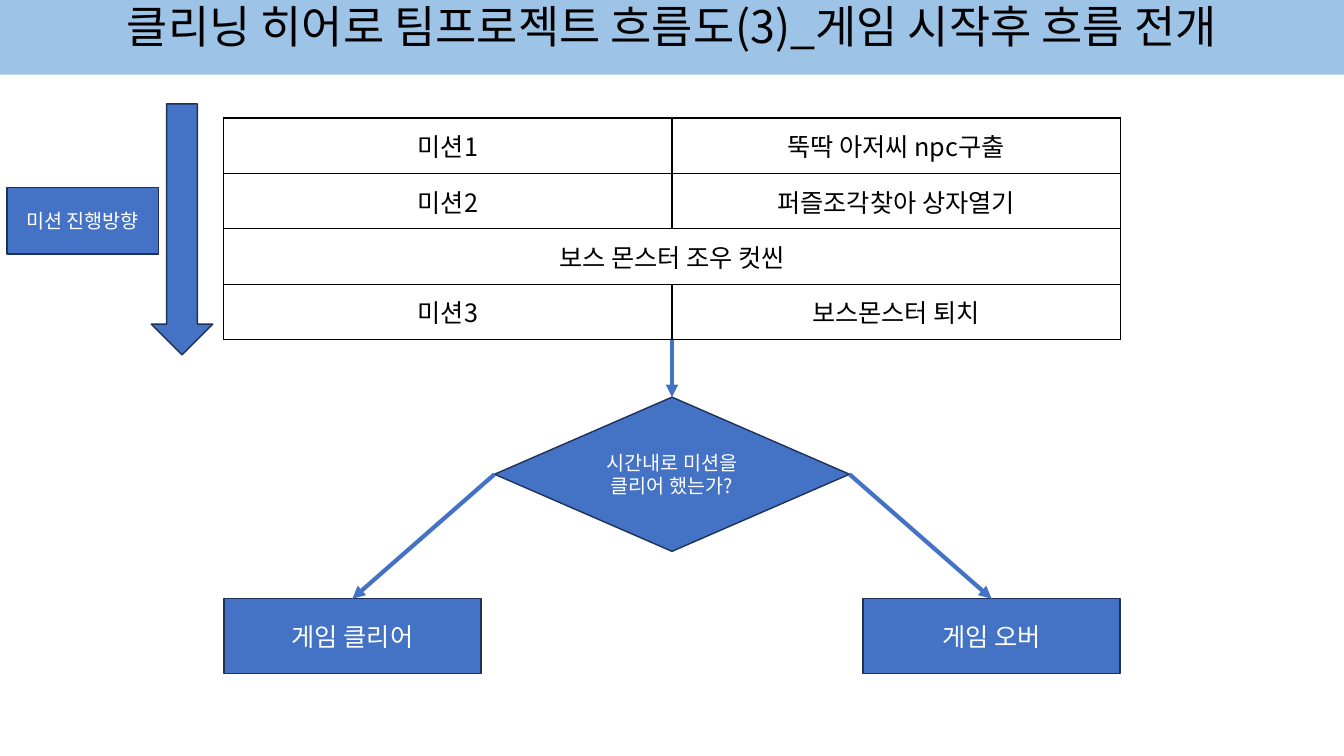
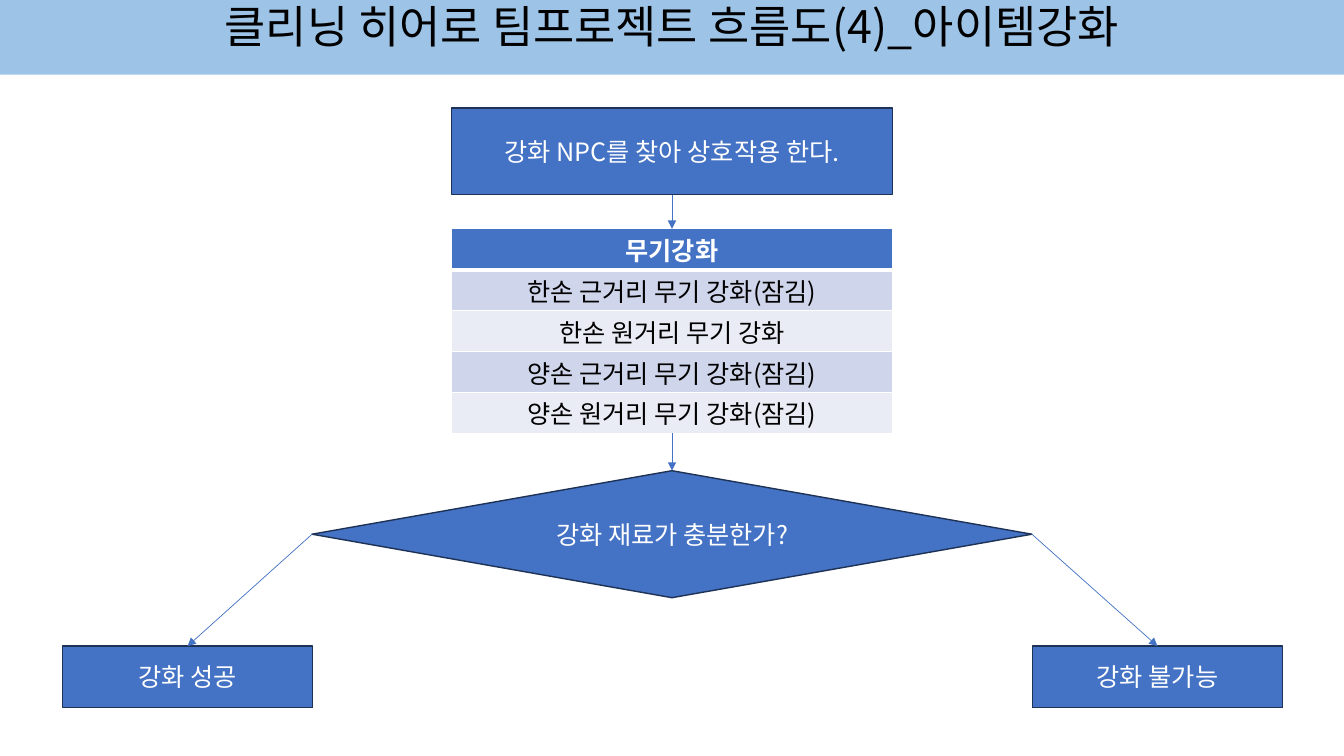
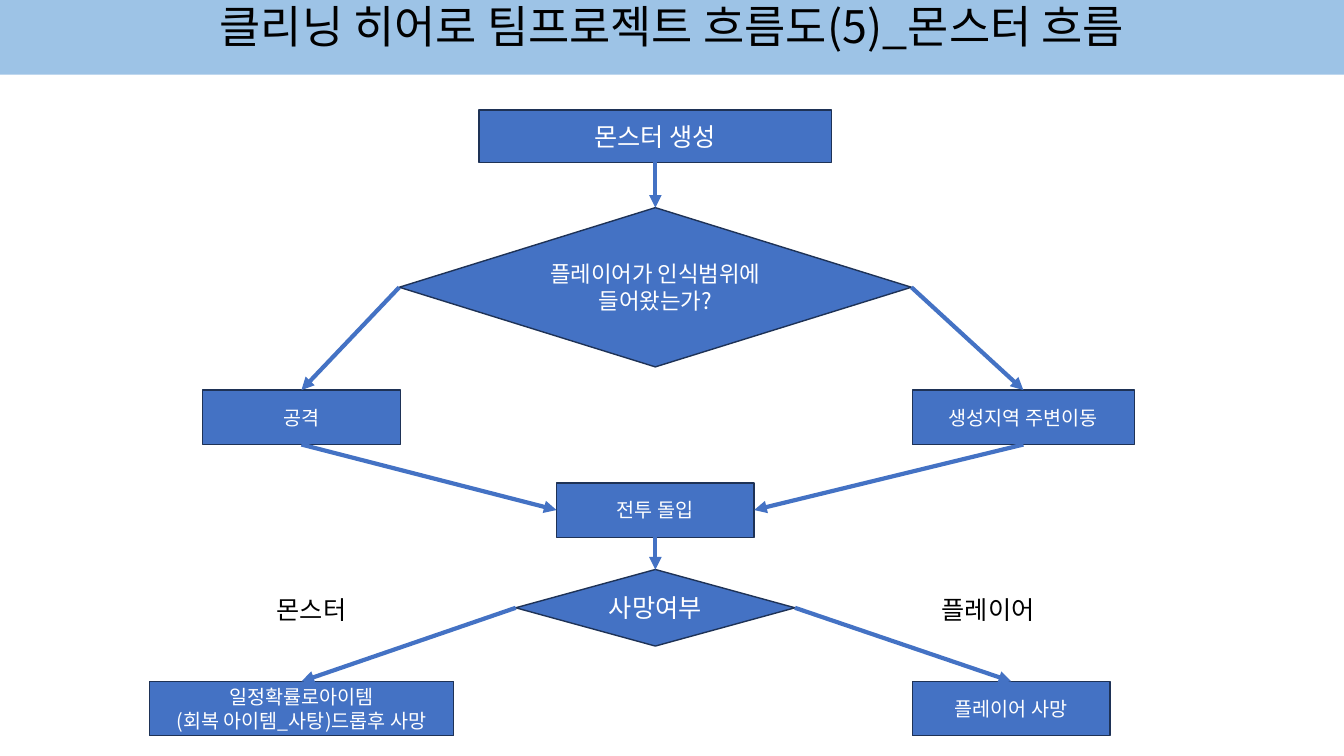
import pptx
import pptx.util
import pptx.dml.color
import pptx.enum.shapes
import pptx.enum.text
import pptx.oxml
import pptx.oxml.ns

Inches, Pt = pptx.util.Inches, pptx.util.Pt
SHAPE = pptx.enum.shapes.MSO_SHAPE
ANCHOR = pptx.enum.text.MSO_ANCHOR
CENTER = pptx.enum.text.PP_ALIGN.CENTER

# Shared style
WIDTH, HEIGHT = 13.33, 7.5
FONT = "Noto Sans CJK KR"
BAND, BLUE, OUTLINE = "9DC3E6", "4472C4", "1E3256"
BLACK, WHITE = "000000", "FFFFFF"
ROW_FILLS = ["CFD5EA", "E9EBF5"]
TOP, LEFT, BOTTOM, RIGHT = range(4)  # connection sites


def color(value):
    return pptx.dml.color.RGBColor.from_string(value)


def add_xml(parent, xml):
    ns = pptx.oxml.ns.nsdecls("a")
    parent.append(pptx.oxml.parse_xml(xml.replace(" ", f" {ns} ", 1)))


def write(tf, text, size, fill, bold=False):
    tf.text = text
    for p in tf.paragraphs:
        p.alignment = CENTER
        for r in p.runs:
            r.font.name, r.font.size, r.font.bold = FONT, Pt(size), bold
            r.font.color.rgb = color(fill)
            add_xml(r.font._element, f'<a:ea typeface="{FONT}"/>')


def node(s, kind, box, text="", size=18, fill=BLUE, outline=OUTLINE):
    sp = s.shapes.add_shape(kind, *map(Inches, box))
    sp.shadow.inherit = False
    sp.fill.solid()
    sp.fill.fore_color.rgb = color(fill)
    if outline:
        sp.line.color.rgb = color(outline)
        sp.line.width = Pt(1)
    else:
        sp.line.fill.background()
    tf = sp.text_frame
    tf.word_wrap = True
    tf.vertical_anchor = ANCHOR.MIDDLE
    if text:
        write(tf, text, size, WHITE)
    return sp


def process(s, box, text, size=18):
    return node(s, SHAPE.FLOWCHART_PROCESS, box, text, size)


def label(s, box, text):
    sp = s.shapes.add_textbox(*map(Inches, box))
    sp.text_frame.word_wrap = True
    write(sp.text_frame, text, 18, BLACK)


def site_point(sp, site):
    dx, dy = {TOP: (1, 0), LEFT: (0, 1), BOTTOM: (1, 2), RIGHT: (2, 1)}[site]
    return sp.left + sp.width * dx // 2, sp.top + sp.height * dy // 2


def arrow(s, start, start_site, end, end_site, width=3):
    c = s.shapes.add_connector(pptx.enum.shapes.MSO_CONNECTOR.STRAIGHT,
                               *site_point(start, start_site), *site_point(end, end_site))
    if not start.has_table:
        c.begin_connect(start, start_site)
    if not end.has_table:
        c.end_connect(end, end_site)
    c.line.color.rgb = color(BLUE)
    c.line.width = Pt(width)
    add_xml(c.line._get_or_add_ln(), '<a:tailEnd type="triangle"/>')
    add_xml(c._element.spPr, "<a:effectLst />")


def title_slide(prs, text):
    s = prs.slides.add_slide(prs.slide_layouts[6])
    sp = node(s, SHAPE.RECTANGLE, (0, 0, WIDTH, 0.74), fill=BAND, outline=None)
    tf = sp.text_frame
    tf.vertical_anchor = ANCHOR.TOP
    write(tf, text, 32, BLACK)
    tf.paragraphs[0].line_spacing = 0.9
    return s


def table(s, box, rows):
    """Add a plain table; a row with fewer cells than the first is merged."""
    cols = len(rows[0])
    frame = s.shapes.add_table(len(rows), cols, *map(Inches, box))
    t = frame.table
    t.first_row = t.horz_banding = False
    for i, texts in enumerate(rows):
        if len(texts) < cols:
            t.cell(i, 0).merge(t.cell(i, cols - 1))
        for j, text in enumerate(texts):
            write(t.cell(i, j).text_frame, text, 18, BLACK)
    return frame


def style_cell(cell, fill, border, top=1, bottom=1):
    cell.vertical_anchor = ANCHOR.MIDDLE
    # Slim margins keep each row at its set height
    cell.margin_top = cell.margin_bottom = Inches(0.01)
    for side, width in zip("LRTB", (1, 1, top, bottom)):
        add_xml(cell._tc.get_or_add_tcPr(),
                f'<a:ln{side} w="{Pt(width)}"><a:solidFill><a:srgbClr val="{border}"/>'
                f"</a:solidFill></a:ln{side}>")
    cell.fill.solid()
    cell.fill.fore_color.rgb = color(fill)


def branch(s, box, axis, decision, outcomes, out_height, out_size=18, width=3):
    """Decision at the top of the box, one outcome in each lower corner."""
    x, y, w, h = box
    text, dw, dh, size = decision
    d = node(s, SHAPE.FLOWCHART_DECISION, (axis - dw / 2, y, dw, dh), text, size)
    ends = []
    for site, (text, ow) in zip((LEFT, RIGHT), outcomes):
        left = x if site == LEFT else x + w - ow
        end = process(s, (left, y + h - out_height, ow, out_height), text, out_size)
        arrow(s, d, site, end, TOP, width)
        ends.append(end)
    return d, ends


def mission_direction(s, box):
    x, y, w, h = box
    node(s, SHAPE.DOWN_ARROW, (x + w - 0.61, y, 0.61, h))
    process(s, (x, y + 0.83, 1.5, 0.66), "미션 진행방향", 14)


def mission_slide(prs):
    s = title_slide(prs, "클리닝 히어로 팀프로젝트 흐름도(3)_게임 시작후 흐름 전개")
    missions = table(s, (2.22, 1.17, 8.89, 2.2), [
        ["미션1", "뚝딱 아저씨 npc구출"],
        ["미션2", "퍼즐조각찾아 상자열기"],
        ["보스 몬스터 조우 컷씬"],
        ["미션3", "보스몬스터 퇴치"],
    ])
    for cell in missions.table.iter_cells():
        style_cell(cell, WHITE, BLACK)
    cleared, _ = branch(s, (2.22, 3.94, 8.89, 2.74), WIDTH / 2,
                        ("시간내로 미션을 클리어 했는가?", 3.52, 1.53, 14),
                        [("게임 클리어", 2.55), ("게임 오버", 2.55)], 0.74)
    arrow(s, missions, BOTTOM, cleared, TOP)
    mission_direction(s, (0.07, 1.03, 2.04, 2.49))


def upgrade_slide(prs):
    s = title_slide(prs, "클리닝 히어로 팀프로젝트 흐름도(4)_아이템강화")
    npc = process(s, (4.48, 1.07, 4.37, 0.86), "강화 NPC를 찾아 상호작용 한다.")
    weapons = table(s, (4.48, 2.27, 4.37, 2.03), [
        ["무기강화"],
        ["한손 근거리 무기 강화(잠김)"],
        ["한손 원거리 무기 강화"],
        ["양손 근거리 무기 강화(잠김)"],
        ["양손 원거리 무기 강화(잠김)"],
    ])
    header, *items = weapons.table.iter_cells()
    write(header.text_frame, header.text_frame.text, 18, WHITE, bold=True)
    style_cell(header, BLUE, WHITE, bottom=3)
    for i, cell in enumerate(items):
        style_cell(cell, ROW_FILLS[i % 2], WHITE, top=1 if i else 3)
    enough, _ = branch(s, (0.62, 4.67, 12.1, 2.35), WIDTH / 2,
                       ("강화 재료가 충분한가?", 7.14, 1.26, 18),
                       [("강화 성공", 2.48), ("강화 불가능", 2.48)], 0.61, width=0.5)
    arrow(s, npc, BOTTOM, weapons, TOP, 0.5)
    arrow(s, weapons, BOTTOM, enough, TOP, 0.5)


def monster_slide(prs):
    s = title_slide(prs, "클리닝 히어로 팀프로젝트 흐름도(5)_몬스터 흐름")
    axis = 6.5
    spawn = process(s, (axis - 1.75, 1.09, 3.5, 0.52), "몬스터 생성")
    # Detection
    detected, (attack, roam) = branch(
        s, (2.01, 2.06, 9.24, 2.35), axis,
        ("플레이어가 인식범위에 들어왔는가?", 5.08, 1.58, 16),
        [("공격", 1.96), ("생성지역 주변이동", 2.2)], 0.54, 14)
    # Battle
    battle = process(s, (axis - 0.98, 4.79, 1.96, 0.54), "전투 돌입", 14)
    death, _ = branch(
        s, (1.48, 5.65, 9.53, 1.65), axis, ("사망여부", 2.77, 0.76, 18),
        [("일정확률로아이템\n(회복 아이템_사탕)드롭후 사망", 3.02),
         ("플레이어 사망", 1.96)], 0.54, 14)
    arrow(s, spawn, BOTTOM, detected, TOP)
    arrow(s, attack, BOTTOM, battle, LEFT)
    arrow(s, roam, BOTTOM, battle, RIGHT)
    arrow(s, battle, BOTTOM, death, TOP)
    label(s, (2.45, 5.85, 1.28, 0.4), "몬스터")
    label(s, (9.16, 5.85, 1.28, 0.4), "플레이어")


def main():
    prs = pptx.Presentation()
    prs.slide_width, prs.slide_height = Inches(WIDTH), Inches(HEIGHT)
    mission_slide(prs)
    upgrade_slide(prs)
    monster_slide(prs)
    prs.save("out.pptx")


if __name__ == "__main__":
    main()
